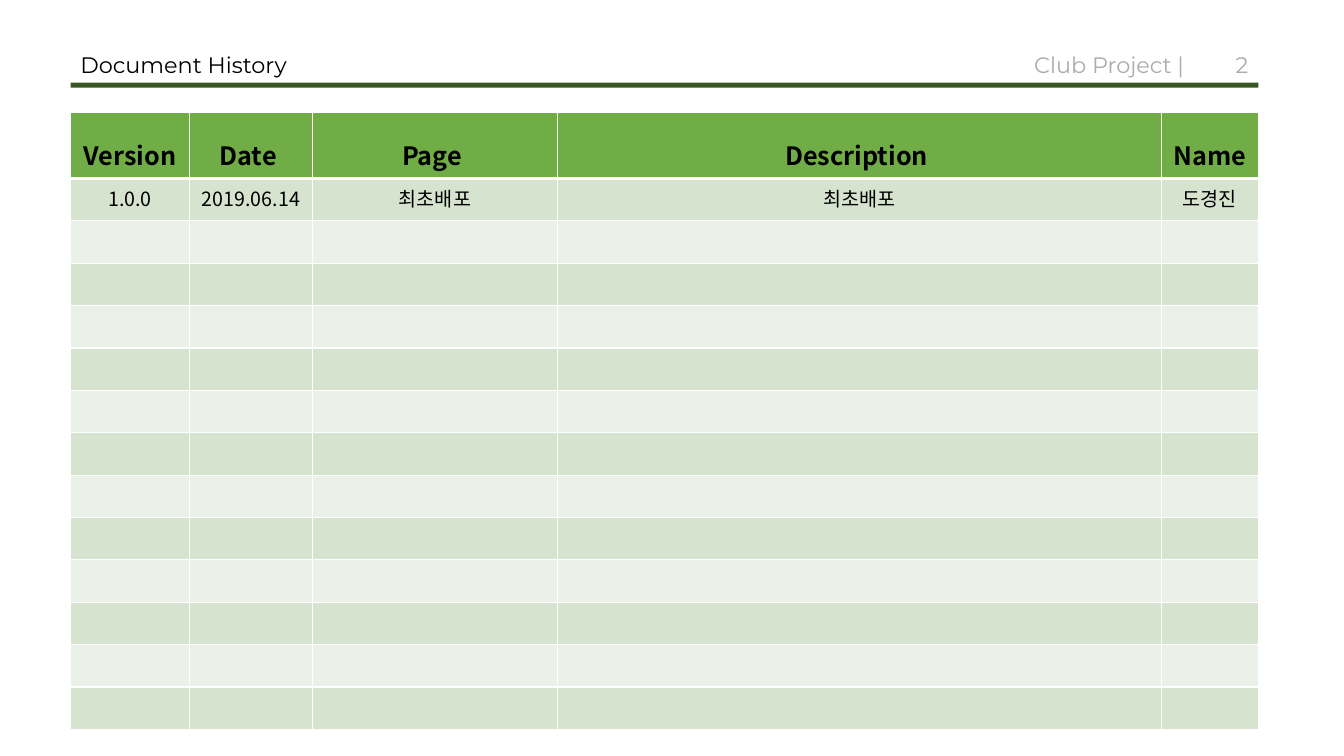
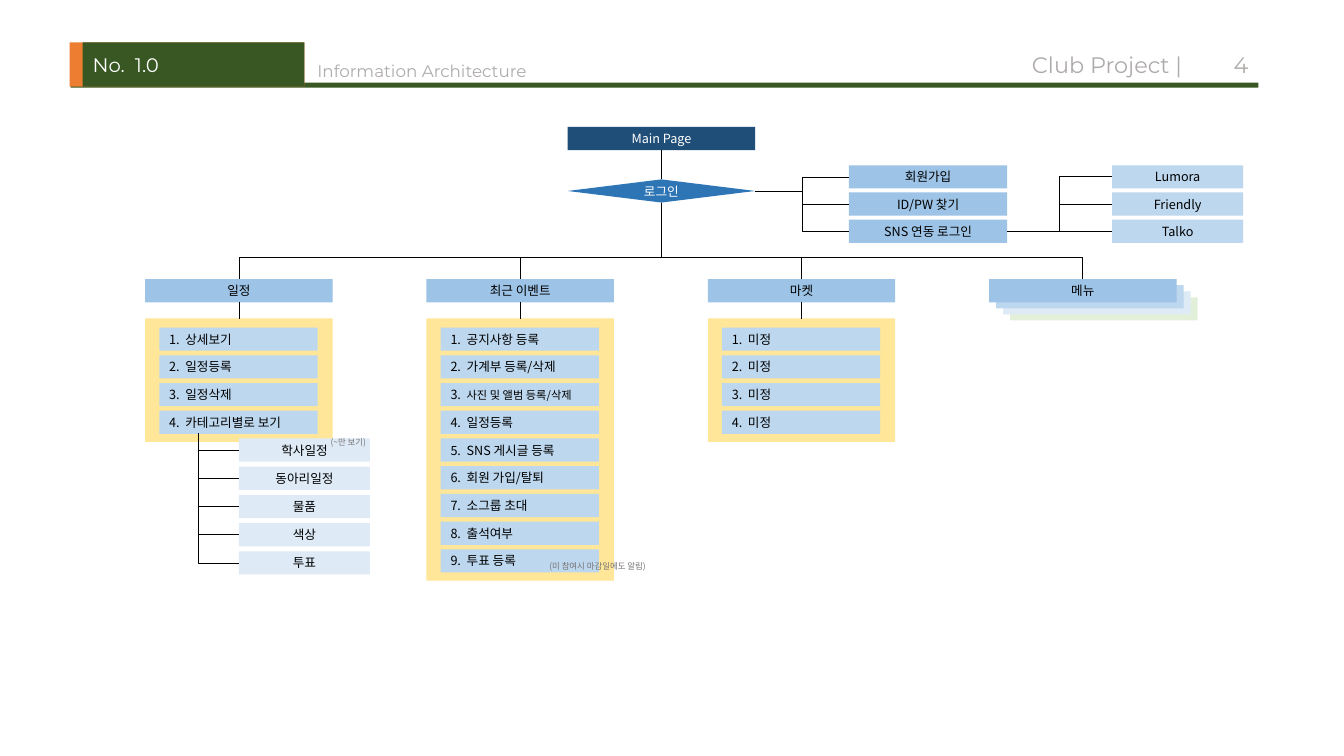
from dataclasses import dataclass

from lxml.etree import SubElement
from pptx import Presentation
from pptx.dml.color import RGBColor
from pptx.enum.shapes import MSO_CONNECTOR, MSO_SHAPE
from pptx.enum.text import MSO_ANCHOR, PP_ALIGN
from pptx.oxml.ns import qn
from pptx.util import Inches, Pt


@dataclass(frozen=True)
class Theme:
    latin: str = "Montserrat"
    korean: str = "Noto Sans CJK KR"
    black: str = "000000"
    white: str = "FFFFFF"
    muted: str = "AFABAB"
    note: str = "767171"
    dark_green: str = "385723"
    orange: str = "ED7D31"
    table_header: str = "70AD47"
    table_bands: tuple = ("D5E3CF", "EBF1E9")
    panel: str = "FFE699"
    main_page: str = "1F4E79"
    decision: str = "2E75B6"
    section: str = "9DC3E6"
    item: str = "BDD7EE"
    detail: str = "DEEBF7"
    pale_green: str = "E2F0D9"
    title_size: float = 16
    tag_size: float = 14
    subtitle_size: float = 12
    header_size: float = 18
    cell_size: float = 14
    node_size: float = 9
    small_size: float = 8
    note_size: float = 6


@dataclass(frozen=True)
class Box:
    x: float
    y: float
    w: float
    h: float

    def inside(self, dx, dy, w, h):
        return Box(self.x + dx, self.y + dy, w, h)

    def emu(self):
        return [Inches(value) for value in (self.x, self.y, self.w, self.h)]


THEME = Theme()
HEADER = Box(0.7, 0.42, 11.78, 0.47)
HISTORY = Box(0.7, 1.12, 11.78, 6.12)
DIAGRAM = Box(1.44, 1.26, 10.89, 4.51)
NODE_WIDTH, ITEM_WIDTH, DETAIL_WIDTH, NODE_HEIGHT = 1.86, 1.57, 1.3, 0.23
COLUMN_PITCH = 2.79
ITEM_PITCH = 2.2 / 8
TOP, LEFT, BOTTOM, RIGHT = range(4)

COLUMN_WIDTHS = (1.18, 1.22, 2.43, 5.99, 0.96)
HISTORY_ROWS = [
    ("Version", "Date ", "Page ", "Description ", "Name "),
    ("1.0.0", "2019.06.14", "최초배포", "최초배포", "도경진"),
] + [("",) * 5] * 12

SECTIONS = (
    ("일정", ("상세보기", "일정등록", "일정삭제", "카테고리별로 보기")),
    ("최근 이벤트", ("공지사항 등록", "가계부 등록/삭제", "사진 및 앨범 등록/삭제",
                "일정등록", "SNS 게시글 등록", "회원 가입/탈퇴", "소그룹 초대",
                "출석여부", "투표 등록")),
    ("마켓", ("미정",) * 4),
    ("메뉴", ()),
)
LOGIN_OPTIONS = ("회원가입", "ID/PW 찾기", "SNS 연동 로그인")
SOCIAL_NETWORKS = ("Lumora", "Friendly", "Talko")
CATEGORIES = ("학사일정", "동아리일정", "물품", "색상", "투표")


def rgb(color):
    return RGBColor.from_string(color)


def format_run(run, size, color, font, bold=False):
    run.font.size = Pt(size)
    run.font.bold = bold
    run.font.color.rgb = rgb(color)
    run.font.name = font
    SubElement(run.font._element, qn("a:ea")).set("typeface", font)


def write(text_frame, text, size, color=THEME.black, font=THEME.korean,
          align=PP_ALIGN.LEFT, spacing=None, bold=False):
    paragraph = text_frame.paragraphs[0]
    paragraph.text = text
    paragraph.alignment = align
    if spacing:
        paragraph.line_spacing = spacing
    for run in paragraph.runs:
        format_run(run, size, color, font, bold)
    return paragraph


def add_text(slide, box, text, size, color, wrap=True, anchor=MSO_ANCHOR.TOP, **style):
    text_frame = slide.shapes.add_textbox(*box.emu()).text_frame
    text_frame.word_wrap = wrap
    text_frame.vertical_anchor = anchor
    write(text_frame, text, size, color, **style)


def add_block(slide, box, fill, preset=MSO_SHAPE.RECTANGLE):
    shape = slide.shapes.add_shape(preset, *box.emu())
    shape.shadow.inherit = False
    shape.fill.solid()
    shape.fill.fore_color.rgb = rgb(fill)
    shape.line.fill.background()
    return shape


def add_node(slide, box, fill, text, color=THEME.black, align=PP_ALIGN.CENTER,
             preset=MSO_SHAPE.RECTANGLE, size=THEME.node_size, font=THEME.korean):
    shape = add_block(slide, box, fill, preset)
    shape.text_frame.word_wrap = True
    shape.text_frame.vertical_anchor = MSO_ANCHOR.MIDDLE
    write(shape.text_frame, text, size, color, font, align)
    return shape


def site(shape, index):
    middle_x = shape.left + shape.width // 2
    middle_y = shape.top + shape.height // 2
    return {
        TOP: (middle_x, shape.top),
        LEFT: (shape.left, middle_y),
        BOTTOM: (middle_x, shape.top + shape.height),
        RIGHT: (shape.left + shape.width, middle_y),
    }[index]


def add_link(slide, kind, start, end, width=0.5):
    connector = slide.shapes.add_connector(kind, *start, *end)
    connector.line.color.rgb = rgb(THEME.black)
    connector.line.width = Pt(width)
    SubElement(connector._element.spPr, qn("a:effectLst"))
    return connector


def link_shapes(slide, source, source_site, target, target_site, width=0.5):
    start, end = site(source, source_site), site(target, target_site)
    straight = abs(start[0] - end[0]) < Inches(0.02) or abs(start[1] - end[1]) < Inches(0.02)
    kind = MSO_CONNECTOR.STRAIGHT if straight else MSO_CONNECTOR.ELBOW
    connector = add_link(slide, kind, start, end, width)
    connector.begin_connect(source, source_site)
    connector.end_connect(target, target_site)
    return connector


def turn_downward(connector, start, end, bend=None):
    run, drop = abs(end[0] - start[0]), end[1] - start[1]
    connector.left = (start[0] + end[0] - drop) // 2
    connector.top = (start[1] + end[1] - run) // 2
    connector.width, connector.height = drop, run
    transform = connector._element.spPr.xfrm
    transform.attrib.pop("flipH", None)
    transform.set("rot", "5400000")
    transform.set("flipV", "1" if end[0] > start[0] else "0")
    geometry = connector._element.spPr.find(qn("a:prstGeom"))
    if bend is None:
        geometry.set("prst", "bentConnector2")
    else:
        guide = SubElement(geometry.find(qn("a:avLst")), qn("a:gd"))
        guide.set("name", "adj1")
        guide.set("fmla", f"val {round(bend * 100000)}")


def add_header(slide, box, page):
    add_block(slide, box.inside(0, 0.4, box.w, 0.05), THEME.dark_green)
    add_text(slide, box.inside(box.w - 4.7, 0, 4.7, box.h), f"Club Project | \t{page}",
             THEME.title_size, THEME.muted, font=THEME.latin, align=PP_ALIGN.RIGHT,
             spacing=0.9, anchor=MSO_ANCHOR.MIDDLE)


def add_plain_title(slide, box, title):
    add_text(slide, box.inside(0, 0, 4.7, box.h), title, THEME.title_size, THEME.black,
             font=THEME.latin, spacing=0.9, anchor=MSO_ANCHOR.MIDDLE)


def add_numbered_title(slide, box, number, title):
    add_text(slide, box.inside(2.35, 0, 2.77, box.h), title, THEME.subtitle_size, THEME.muted,
             font=THEME.latin, spacing=1.5, anchor=MSO_ANCHOR.MIDDLE)
    add_block(slide, box.inside(-0.01, 0, 2.33, 0.44), THEME.orange)
    add_node(slide, box.inside(0.12, 0, 2.2, 0.44), THEME.dark_green, number, THEME.white,
             PP_ALIGN.LEFT, size=THEME.tag_size, font=THEME.latin)


def set_borders(cell, top, bottom):
    properties = cell._tc.get_or_add_tcPr()
    for side, width in (("L", 1), ("R", 1), ("T", top), ("B", bottom)):
        border = SubElement(properties, qn(f"a:ln{side}"))
        border.set("w", str(Pt(width)))
        fill = SubElement(border, qn("a:solidFill"))
        SubElement(fill, qn("a:srgbClr")).set("val", THEME.white)


def add_history_table(slide, box):
    header_height = 0.65
    row_height = (box.h - header_height) / (len(HISTORY_ROWS) - 1)
    table = slide.shapes.add_table(len(HISTORY_ROWS), len(COLUMN_WIDTHS), *box.emu()).table
    for column, width in zip(table.columns, COLUMN_WIDTHS):
        column.width = Inches(width)
    for index, texts in enumerate(HISTORY_ROWS):
        is_header = index == 0
        table.rows[index].height = Inches(header_height if is_header else row_height)
        fill = THEME.table_header if is_header else THEME.table_bands[(index - 1) % 2]
        for column, text in enumerate(texts):
            cell = table.cell(index, column)
            set_borders(cell, 3 if index == 1 else 1, 3 if is_header else 1)
            cell.fill.solid()
            cell.fill.fore_color.rgb = rgb(fill)
            if text:
                write(cell.text_frame, text,
                      THEME.header_size if is_header else THEME.cell_size,
                      align=PP_ALIGN.CENTER, spacing=1.5 if is_header else None,
                      bold=is_header)


def add_stack(slide, box, texts, fill, pitch):
    return [add_node(slide, box.inside(0, index * pitch, box.w, box.h), fill, text)
            for index, text in enumerate(texts)]


def add_login(slide, box):
    main_page = add_node(slide, box.inside(4.19, 0, NODE_WIDTH, NODE_HEIGHT),
                         THEME.main_page, "Main Page", THEME.white)
    login = add_node(slide, box.inside(4.19, 0.52, NODE_WIDTH, NODE_HEIGHT),
                     THEME.decision, "로그인", THEME.white, preset=MSO_SHAPE.DIAMOND)
    link_shapes(slide, main_page, BOTTOM, login, TOP)
    options = add_stack(slide, box.inside(6.98, 0.38, ITEM_WIDTH, NODE_HEIGHT),
                        LOGIN_OPTIONS, THEME.section, 0.27)
    networks = add_stack(slide, box.inside(9.59, 0.38, DETAIL_WIDTH, NODE_HEIGHT),
                         SOCIAL_NETWORKS, THEME.item, 0.27)
    for option in options:
        link_shapes(slide, login, RIGHT, option, LEFT, 0.25)
    for network in networks:
        link_shapes(slide, options[-1], RIGHT, network, LEFT)
    return login


def add_section(slide, box, login, title, items):
    if not items:
        for step, fill in ((3, THEME.pale_green), (2, THEME.detail), (1, THEME.item)):
            add_block(slide, box.inside(step * 0.07, step * 0.06, box.w, box.h), fill)
    heading = add_node(slide, box, THEME.section, title)
    connector = link_shapes(slide, login, BOTTOM, heading, TOP)
    turn_downward(connector, site(login, BOTTOM), site(heading, TOP), 0.72)
    if items:
        panel_height = (len(items) - 1) * ITEM_PITCH + NODE_HEIGHT + 0.17
        panel = add_block(slide, box.inside(0, 0.39, box.w, panel_height), THEME.panel)
        link_shapes(slide, heading, BOTTOM, panel, TOP)
    for index, text in enumerate(items):
        node = add_node(
            slide, box.inside(0.14, 0.48 + index * ITEM_PITCH, ITEM_WIDTH, NODE_HEIGHT),
            THEME.item, f"{index + 1}.  ", align=PP_ALIGN.LEFT)
        run = node.text_frame.paragraphs[0].add_run()
        run.text = text
        size = THEME.small_size if len(text) > 12 else THEME.node_size
        format_run(run, size, THEME.black, THEME.korean)


def add_categories(slide, box):
    start = (Inches(box.x - 0.4), Inches(box.y - 0.05))
    nodes = add_stack(slide, box, CATEGORIES, THEME.detail, 0.28)
    for node in nodes:
        end = site(node, LEFT)
        connector = add_link(slide, MSO_CONNECTOR.ELBOW, start, end)
        connector.end_connect(node, LEFT)
        turn_downward(connector, start, end)


def add_architecture(slide, box):
    login = add_login(slide, box)
    for index, (title, items) in enumerate(SECTIONS):
        section_box = box.inside(index * COLUMN_PITCH, 1.51, NODE_WIDTH, NODE_HEIGHT)
        add_section(slide, section_box, login, title, items)
    add_categories(slide, box.inside(0.93, 3.09, DETAIL_WIDTH, NODE_HEIGHT))
    for note_box, text in ((box.inside(1.74, 3.03, 0.6, 0.2), "(~만 보기)"),
                           (box.inside(3.91, 4.26, 1.27, 0.2), "(미 참여시 마감일에도 알림)")):
        add_text(slide, note_box, text, THEME.note_size, THEME.note, wrap=False)


def main():
    presentation = Presentation()
    presentation.slide_width, presentation.slide_height = Inches(13.33), Inches(7.5)
    blank = presentation.slide_layouts[6]

    history = presentation.slides.add_slide(blank)
    add_header(history, HEADER, 2)
    add_plain_title(history, HEADER, "Document History")
    add_history_table(history, HISTORY)

    architecture = presentation.slides.add_slide(blank)
    add_header(architecture, HEADER, 4)
    add_numbered_title(architecture, HEADER, "No.  1.0", "Information Architecture")
    add_architecture(architecture, DIAGRAM)

    presentation.save("out.pptx")


if __name__ == "__main__":
    main()
